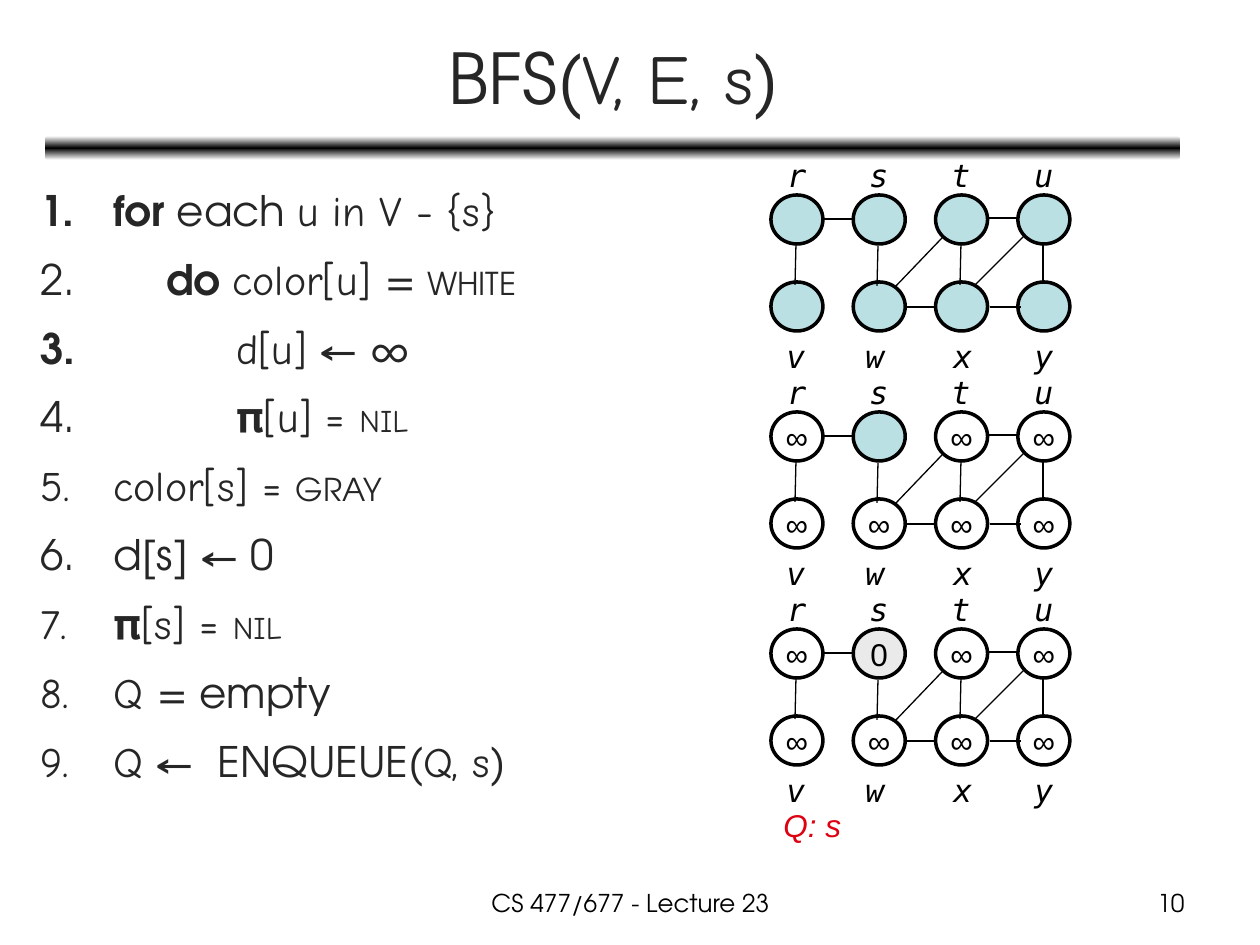
from copy import deepcopy

from lxml import etree
from pptx import Presentation
from pptx.dml.color import RGBColor
from pptx.enum.shapes import MSO_CONNECTOR, MSO_SHAPE
from pptx.enum.text import MSO_ANCHOR, MSO_AUTO_SIZE, PP_ALIGN
from pptx.oxml.ns import qn
from pptx.util import Emu, Pt

LEFT, CENTER, RIGHT = PP_ALIGN.LEFT, PP_ALIGN.CENTER, PP_ALIGN.RIGHT
TOP, MIDDLE = MSO_ANCHOR.TOP, MSO_ANCHOR.MIDDLE
ELLIPSE, ROUNDED = MSO_SHAPE.OVAL, MSO_SHAPE.ROUNDED_RECTANGLE
STRAIGHT = MSO_CONNECTOR.STRAIGHT
FIT_SHAPE = MSO_AUTO_SIZE.SHAPE_TO_FIT_TEXT

COLORS = {"black": "000000", "white": "FFFFFF", "ink": "262626",
          "queue": "DD0111", "teal": "BBE0E3", "gray": "EAEAEA"}
GOTHIC, COMIC, MONO, SANS = "TeX Gyre Adventor", "Comic Neue", "DejaVu Sans Mono", "Arial"


def px(value):
    return Emu(round(value * 914400 / 126))


def rgb(name):
    return RGBColor.from_string(COLORS[name])


class Deck:
    """Holds the style, the slide and the container now being drawn into."""

    def __init__(self, width, height):
        self.file = Presentation()
        self.file.slide_width, self.file.slide_height = px(width), px(height)
        self.slide = self.file.slides.add_slide(self.file.slide_layouts[6])
        self.shapes = self.slide.shapes

    def group(self):
        self.shapes = self.slide.shapes.add_group_shape().shapes

    def ungroup(self):
        self.shapes = self.slide.shapes

    def run(self, paragraph, text, font, size, color="black", bold=False, italic=False):
        run = paragraph.add_run()
        run.text = text
        style = run.font
        style.name, style.size, style.bold, style.italic = font, Pt(size), bold, italic
        style.color.rgb = rgb(color)

    def box(self, x, y, w, h, anchor=TOP, wrap=True):
        frame = self.shapes.add_textbox(px(x), px(y), px(w), px(h)).text_frame
        frame.word_wrap, frame.vertical_anchor = wrap, anchor
        if not wrap:
            frame.auto_size = FIT_SHAPE
        return frame

    def text(self, x, y, w, h, runs, align=LEFT, anchor=TOP, wrap=True, **style):
        paragraph = self.box(x, y, w, h, anchor, wrap).paragraphs[0]
        paragraph.alignment = align
        for text, font, size in runs:
            self.run(paragraph, text, font, size, **style)

    def numbered(self, x, y, w, h, lines):
        frame = self.box(x, y, w, h)
        for number, (margin, runs) in enumerate(lines, 1):
            paragraph = frame.paragraphs[0] if number == 1 else frame.add_paragraph()
            paragraph.line_spacing, paragraph.space_before = 1.2, Pt(4.8)
            props = paragraph._p.get_or_add_pPr()
            props.set("marL", str(px(margin)))
            props.set("indent", str(-px(margin)))
            etree.SubElement(props, qn("a:buAutoNum"), type="arabicPeriod",
                             startAt=str(number))
            for text, font, size, *bold in runs:
                self.run(paragraph, text, font, size, "ink", bool(bold))

    def node(self, x, y, w, h, fill, value):
        node = self.shapes.add_shape(ELLIPSE, px(x), px(y), px(w), px(h))
        node.shadow.inherit = False
        if fill:
            node.fill.solid()
            node.fill.fore_color.rgb = rgb(fill)
        else:
            node.fill.background()
        node.line.color.rgb, node.line.width = rgb("black"), Pt(2)
        frame = node.text_frame
        frame.word_wrap, frame.vertical_anchor = False, MIDDLE
        if value:
            frame.paragraphs[0].alignment = CENTER
            self.run(frame.paragraphs[0], value, SANS, 18)

    def edge(self, x1, y1, x2, y2):
        edge = self.shapes.add_connector(STRAIGHT, px(x1), px(y1), px(x2), px(y2))
        edge.line.color.rgb, edge.line.width = rgb("black"), Pt(0.75)
        etree.SubElement(edge._element.spPr, qn("a:effectLst"))

    def bar(self, x, y, w, h, stops):
        bar = self.shapes.add_shape(ROUNDED, px(x), px(y), px(w), px(h))
        bar.shadow.inherit = False
        bar.line.fill.background()
        bar.fill.gradient()
        bar.fill.gradient_angle = 90
        stop_list = bar._element.spPr.find(".//" + qn("a:gsLst"))
        stop_list.append(deepcopy(stop_list[0]))
        for stop, (position, color) in zip(bar.fill.gradient_stops, stops):
            stop.position, stop.color.rgb = position, rgb(color)


deck = Deck(1260, 945)

# Heading
deck.bar(45, 136, 1135, 24, [(0, "white"), (0.5, "black"), (1, "white")])
deck.text(47, 14, 1134, 125,
          [("BFS(", GOTHIC, 40), ("V, E, s", COMIC, 40), (")", GOTHIC, 40)],
          CENTER, MIDDLE, color="ink")

# Pseudocode: text margin and runs of each numbered line
OUTER, LOOP, INNER = 73, 114, 184
deck.numbered(28, 168, 571, 699, [
    (OUTER, [("for ", GOTHIC, 24, True), ("each ", GOTHIC, 24), ("u in V - {s} ", COMIC, 24)]),
    (LOOP, [(" ", GOTHIC, 24), ("do ", GOTHIC, 24, True), ("color[u] ", COMIC, 24),
            ("= ", GOTHIC, 24), ("WHITE", GOTHIC, 18)]),
    (INNER, [(" ", GOTHIC, 24, True), ("d[u]", COMIC, 24), (" ← ∞", GOTHIC, 24)]),
    (INNER, [(" ", GOTHIC, 24), ("𝛑[u] = ", COMIC, 24), ("NIL", COMIC, 18)]),
    (OUTER, [("color[s] = ", COMIC, 24), ("GRAY", GOTHIC, 18)]),
    (OUTER, [("d[s] ← 0", GOTHIC, 24)]),
    (OUTER, [("𝛑[s] = ", COMIC, 24), ("NIL", COMIC, 18)]),
    (OUTER, [("Q ", COMIC, 24), ("= empty", GOTHIC, 24)]),
    (OUTER, [("Q", COMIC, 24), (" ←  ENQUEUE(", GOTHIC, 24), ("Q, s", COMIC, 24),
             (")", GOTHIC, 24)]),
])

# Graph layout, measured from the top left of the first node
GRAPH_X, GRAPH_Y, GRAPH_STEP = 771, 195, 217
COLUMN, ROW = 82.3, 87
LABELS = [  # letter, left, top, width
    ("r", 4, -45, 35), ("s", 86, -45, 35), ("t", 168, -45, 35), ("u", 251, -45, 40),
    ("v", 3, 136, 39), ("w", 82, 136, 47), ("x", 170, 136, 39), ("y", 251, 136, 38),
]
EDGES = [
    (25, 49, 24, 90), (107, 51, 106, 91), (190, 49, 189, 90), (272, 48, 272, 89),
    (52, 24, 81, 24), (135, 112, 165, 112), (218, 23, 248, 23), (219, 112, 250, 112),
    (124, 92, 171, 43), (204, 90, 253, 41),
]

# Graph states: fill and value of every node, then of the start node s
UNSEEN, INFINITE = ("teal", ""), (None, "∞")
STATES = [(UNSEEN, UNSEEN), (INFINITE, UNSEEN), (INFINITE, ("gray", "0"))]
for step, (others, start) in enumerate(STATES):
    top = GRAPH_Y + step * GRAPH_STEP
    deck.group()
    for index, (letter, dx, dy, width) in enumerate(LABELS):
        row, column = divmod(index, 4)
        fill, value = start if letter == "s" else others
        deck.node(GRAPH_X + column * COLUMN, top + row * ROW, 52, 49, fill, value)
        deck.text(GRAPH_X + dx, top + dy, width, 50, [(letter, MONO, 18)],
                  wrap=False, italic=True)
    for x1, y1, x2, y2 in EDGES:
        deck.edge(GRAPH_X + x1, top + y1, GRAPH_X + x2, top + y2)
deck.ungroup()

# Queue and footer
deck.text(771, 800, 83, 50, [("Q: s", SANS, 18)], wrap=False, color="queue", italic=True)
deck.text(431, 882, 399, 44, [("CS 477/677 - Lecture 23", GOTHIC, 14)], CENTER)
deck.text(903, 882, 294, 44, [("10", GOTHIC, 14)], RIGHT)

deck.file.save("out.pptx")
